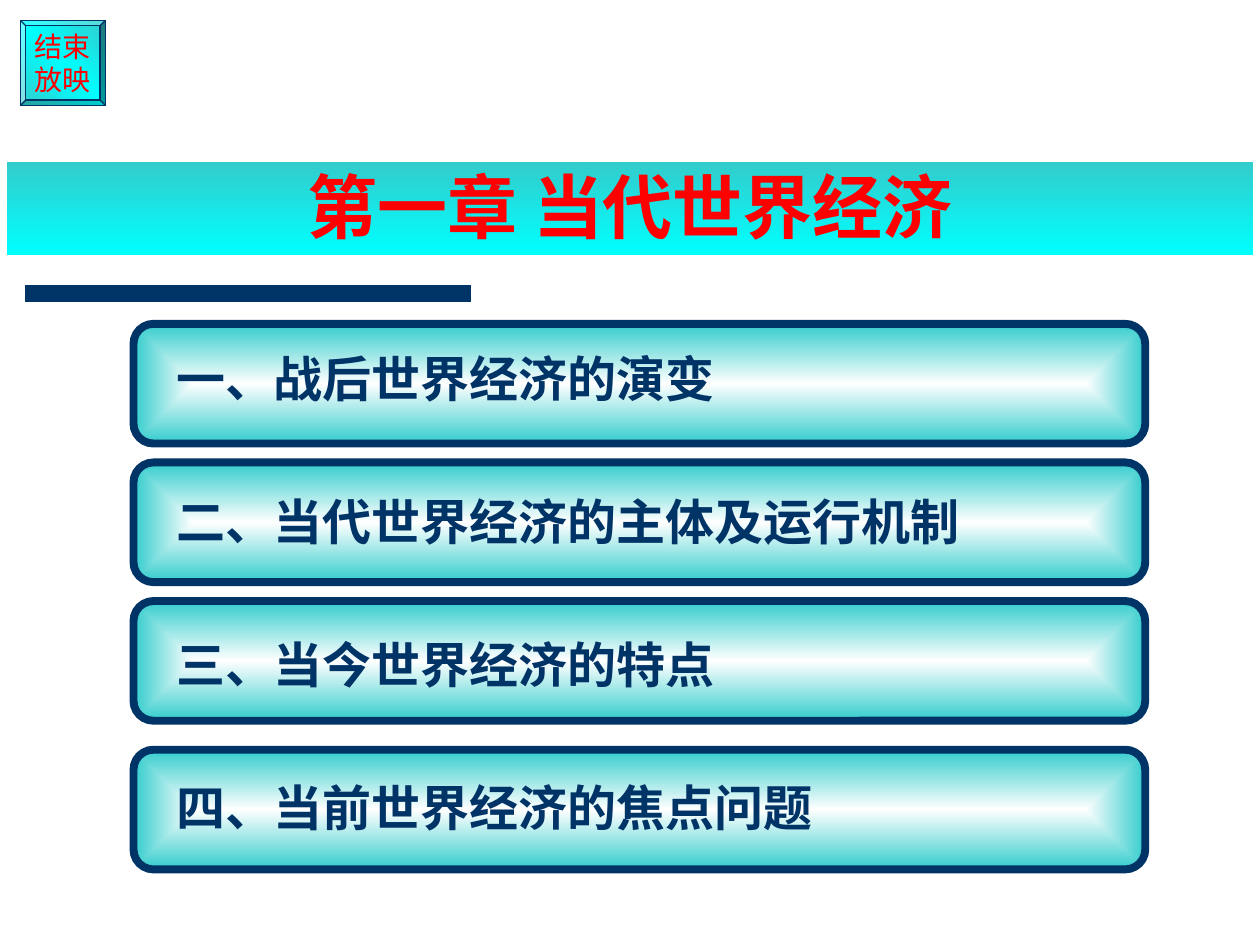
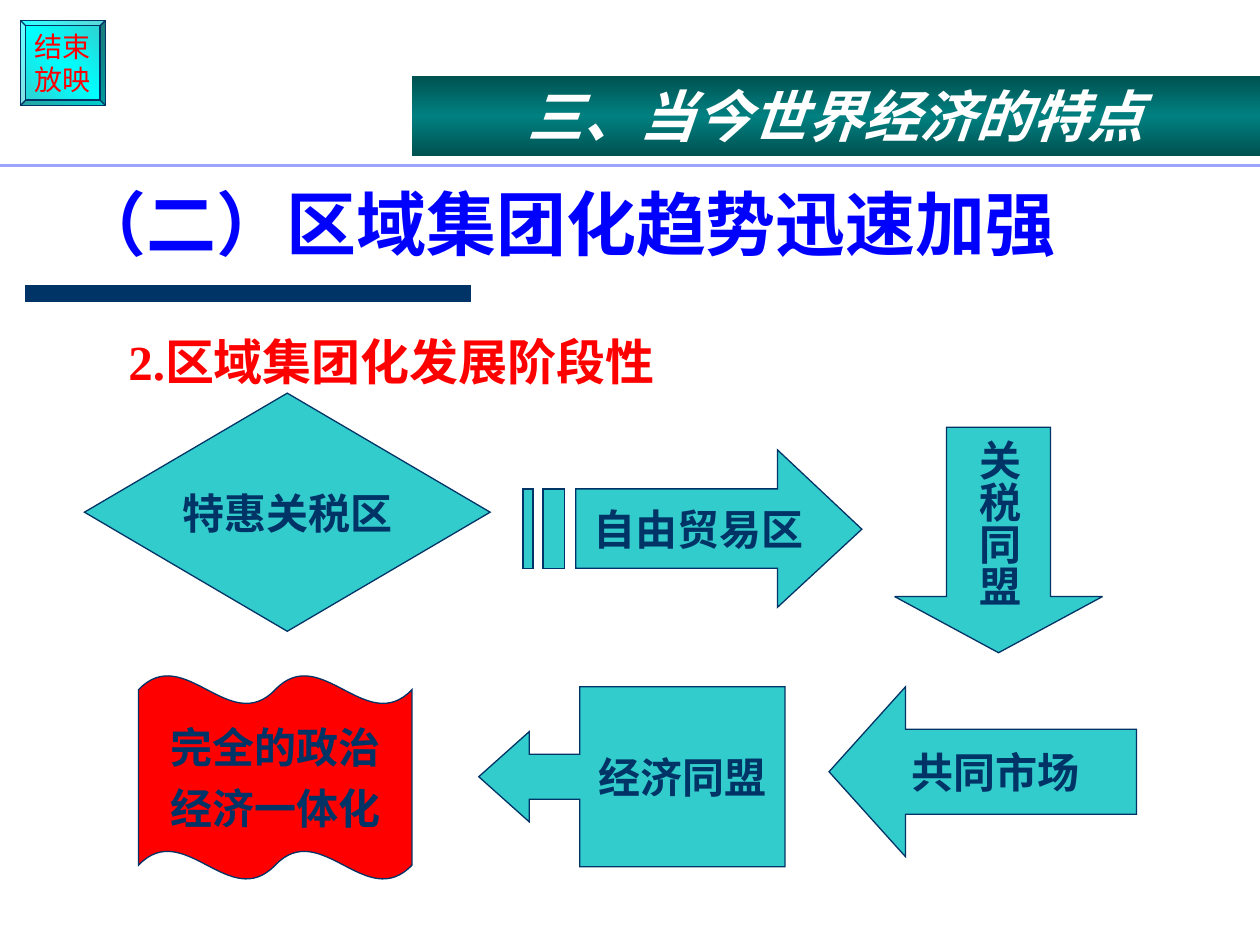
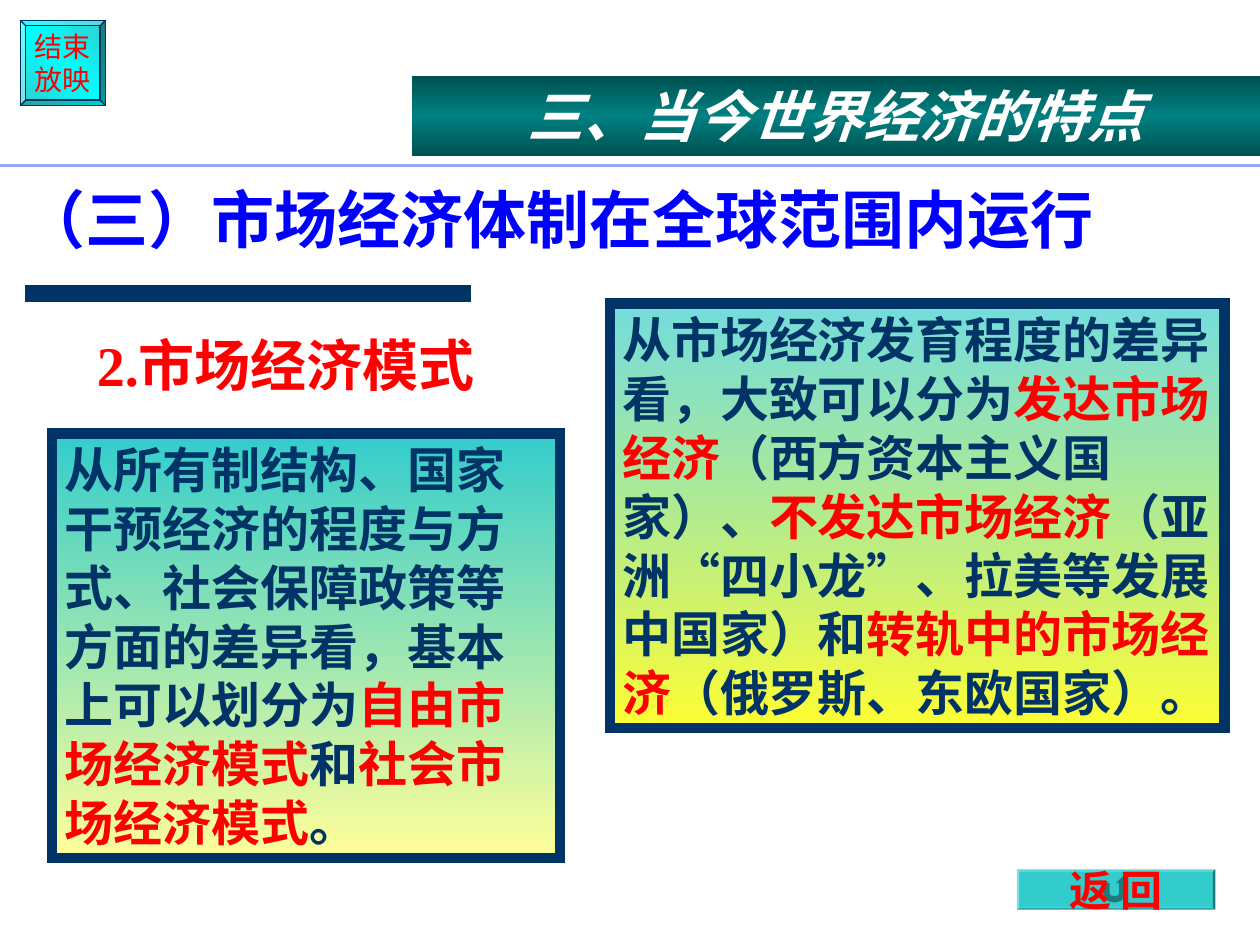
from pptx import Presentation
from pptx.dml.color import RGBColor
from pptx.enum.lang import MSO_LANGUAGE_ID as Lang
from pptx.enum.shapes import MSO_CONNECTOR as Link, MSO_SHAPE as Form
from pptx.enum.text import MSO_ANCHOR as Anchor, PP_ALIGN as Align
from pptx.oxml import parse_xml
from pptx.oxml.ns import nsdecls, qn
from pptx.util import Inches, Pt
from lxml.etree import SubElement

NAVY, TEAL, CYAN = "003366", "33CCCC", "00FFFF"
RED, BLUE, WHITE = "FF0000", "0000FF", "FFFFFF"
CJK, ARIAL, TIMES = "Noto Sans CJK SC", "Arial", "Times New Roman"
rgb = RGBColor.from_string

deck = Presentation()
deck.slide_width, deck.slide_height = Inches(10), Inches(7.5)
col = deck.slide_width // 100
row = deck.slide_height // 75


def put(page, kind, box=None, fill=None, line=None, wide=0.75, turn=90):
    if box:
        x, y, w, h = box
        area = [round(n) for n in (x * col, y * row, w * col, h * row)]
    if kind == "text":
        return page.shapes.add_textbox(*area)
    form = page.shapes.add_shape(kind, *area) if box else kind.convert_to_shape()
    form.shadow.inherit = False
    if isinstance(fill, str):
        form.fill.solid()
        form.fill.fore_color.rgb = rgb(fill)
    else:
        form.fill.gradient()
        grad = form._element.spPr.find(qn("a:gradFill"))
        for part in list(grad):
            grad.remove(part)
        stops = "".join(
            f'<a:gs pos="{at * 1000}"><a:srgbClr val="{hue}">'
            f'<a:alpha val="{solid * 1000}"/></a:srgbClr></a:gs>'
            for at, hue, solid in fill)
        grad.append(parse_xml(f'<a:gsLst {nsdecls("a")}>{stops}</a:gsLst>'))
        if turn is None:
            way = SubElement(grad, qn("a:path"), path="rect")
            SubElement(way, qn("a:fillToRect"), l="50000", t="50000", r="50000", b="50000")
        else:
            SubElement(grad, qn("a:lin"), ang=str(turn * 60000), scaled="0")
    if line:
        form.line.color.rgb = rgb(line)
        form.line.width = Pt(wide)
        SubElement(form._element.spPr.find(qn("a:ln")), qn("a:miter"), lim="800000")
    else:
        form.line.fill.background()
    return form


def say(form, paras, size, hue=NAVY, font=ARIAL, side=Align.LEFT, hold=Anchor.TOP,
        gap=0, lead=None, bold=True, slant=False, wrap=True):
    frame = form.text_frame
    frame.word_wrap, frame.vertical_anchor = wrap, hold
    for i, runs in enumerate(paras):
        para = frame.add_paragraph() if i else frame.paragraphs[0]
        para.alignment = side
        para._p.get_or_add_pPr().set("hangingPunct", "0")
        if lead:
            para.line_spacing = lead
        if i and gap:
            para.space_before = Pt(gap)
        for words, tint, face in runs:
            run = para.add_run()
            run.text = words
            run.font.size, run.font.bold, run.font.italic = Pt(size), bold, slant
            run.font.color.rgb = rgb(tint or hue)
            run.font.name = face or font
            run.font.language_id = Lang.SIMPLIFIED_CHINESE
            SubElement(run.font._element, qn("a:ea"), typeface=CJK)


mid = dict(side=Align.CENTER, hold=Anchor.MIDDLE, wrap=False)
pages = []
for n in range(3):
    page = deck.slides.add_slide(deck.slide_layouts[6])
    pages.append(page)
    rules = [(2, 37.4, 23.3, NAVY, 10)]
    if n:
        rules.append((0, 100, 13.1, "9BA4FD", 1.75))
    for x, end, y, hue, wide in rules:
        rule = page.shapes.add_connector(
            Link.STRAIGHT, *[round(v) for v in (x * col, y * row, end * col, y * row)])
        rule.line.color.rgb, rule.line.width = rgb(hue), Pt(wide)
        SubElement(rule._element.spPr, qn("a:effectLst"))
    stop = put(page, Form.BEVEL, (1.65, 1.65, 6.7, 6.7),
               [(0, TEAL, 100), (50, CYAN, 100), (100, TEAL, 100)], NAVY, turn=135)
    stop.adjustments[0] = 0.06
    say(stop, [[("结束", None, None)], [("放映", None, None)]], 16, RED, bold=False, **mid)
    if n:
        band = put(page, Form.RECTANGLE, (32.7, 6, 67.3, 6.4),
                   [(0, "005151", 100), (50, "008080", 100), (100, "005151", 100)])
        say(band, [[("三、当今世界经济的特点", None, None)]], 32, WHITE, CJK,
            Align.CENTER, slant=True)

first, second, third = pages

for y in (59.5, 47.7, 36.7, 25.7):
    put(first, Form.ROUNDED_RECTANGLE, (10.6, y, 80.3, 9.5),
        [(0, WHITE, 100), (100, TEAL, 100)], NAVY, 4.5, None)
parts = ("一、战后世界经济的演变", "二、当代世界经济的主体及运行机制",
         "三、当今世界经济的特点", "四、当前世界经济的焦点问题")
say(put(first, "text", (13, 27.2, 75.6, 40.7)),
    [[(part, None, None)] for part in parts], 28, gap=48)
head = put(first, Form.RECTANGLE, (0.55, 12.85, 98.9, 7.4), [(0, TEAL, 100), (100, CYAN, 100)])
say(head, [[("第一章 当代世界经济", None, None)]], 40, RED, CJK,
    Align.CENTER, Anchor.BOTTOM, lead=0.9)

for page, box, title, size, spot, topic, tall in (
        (second, (5.1, 10.7, 85.1, 10.9), "（二）区域集团化趋势迅速加强", 40,
         (9.2, 25.8, 84.1, 6), "区域集团化发展阶段性", 28),
        (third, (0.8, 10, 98.4, 10.9), "（三）市场经济体制在全球范围内运行", 36,
         (6.7, 25.7, 40.8, 8.5), "市场经济模式", 32)):
    say(put(page, "text", box), [[(title, None, None)]], size, BLUE, CJK,
        hold=Anchor.BOTTOM, lead=0.9)
    say(put(page, "text", spot), [[("2.", None, TIMES), (topic, None, None)]], tall, RED)

arrow = second.shapes.build_freeform(457, 388, scale=col / 10)
arrow.add_line_segments([(617, 388), (617, 357), (684, 420), (617, 482), (617, 451), (457, 451)])
for left, right in ((415, 423), (431, 448)):
    arrow.move_to(left, 388)
    arrow.add_line_segments([(right, 388), (right, 451), (left, 451)])
for kind, box, adj, fill, lines in (
        (Form.FLOWCHART_DECISION, (6.7, 31.2, 32.2, 18.9), (), TEAL, ["特惠关税区"]),
        (arrow, None, (), TEAL, ["自由贸易区"]),
        (Form.DOWN_ARROW, (71, 33.9, 16.5, 17.9), (0.5, 0.27), TEAL, ["关税同盟"]),
        (Form.LEFT_ARROW, (65.8, 54.5, 24.4, 13.5), (0.5, 0.45), TEAL, ["共同市场"]),
        (Form.LEFT_ARROW_CALLOUT, (38, 54.5, 24.3, 14.3), (0.25, 0.25, 0.28, 0.67),
         TEAL, ["经济同盟"]),
        (Form.DOUBLE_WAVE, (11, 53.6, 21.7, 16.2), (0.07, 0), RED,
         ["完全的政治", "经济一体化"])):
    step = put(second, kind, box, fill, NAVY)
    for i, part in enumerate(adj):
        step.adjustments[i] = part
    say(step, [[(words, None, None)] for words in lines], 24, gap=6, **mid)
    if kind is arrow:
        step.text_frame.margin_left = 2 * col
    if kind == Form.LEFT_ARROW:
        step.text_frame.margin_right = 2 * col
    if kind == Form.DOWN_ARROW:
        step.text_frame._txBody.bodyPr.set("vert", "eaVert")

for box, fill, runs in (
        ((4.15, 34.4, 40.3, 33.7), [(0, TEAL, 100), (100, "FFFF99", 100)],
         ["从所有制结构、国家干预经济的程度与方式、社会保障政策等方面的差异看，基本上可以划分为",
          "自由市场经济模式", "和", "社会市场经济模式", "。"]),
        ((48.4, 24.1, 48.8, 33.7), [(0, TEAL, 68), (100, "FFFF00", 80)],
         ["从市场经济发育程度的差异看，大致可以分为", "发达市场经济",
          "（西方资本主义国家）、", "不发达市场经济",
          "（亚洲“四小龙”、拉美等发展中国家）和", "转轨中的市场经济",
          "（俄罗斯、东欧国家）。"])):
    note = put(third, Form.RECTANGLE, box, fill, NAVY, 6)
    say(note, [[(words, RED if i % 2 else NAVY, None) for i, words in enumerate(runs)]], 28)

edge = put(third, Form.BEVEL, (80.7, 69, 15.75, 3.2), TEAL)
edge.adjustments[0] = 0.06
back = put(third, Form.ACTION_BUTTON_RETURN, (80.95, 69.25, 15.25, 2.7), TEAL)
say(back, [[("返 回", None, None)]], 24, RED, **mid)

deck.save("out.pptx")
